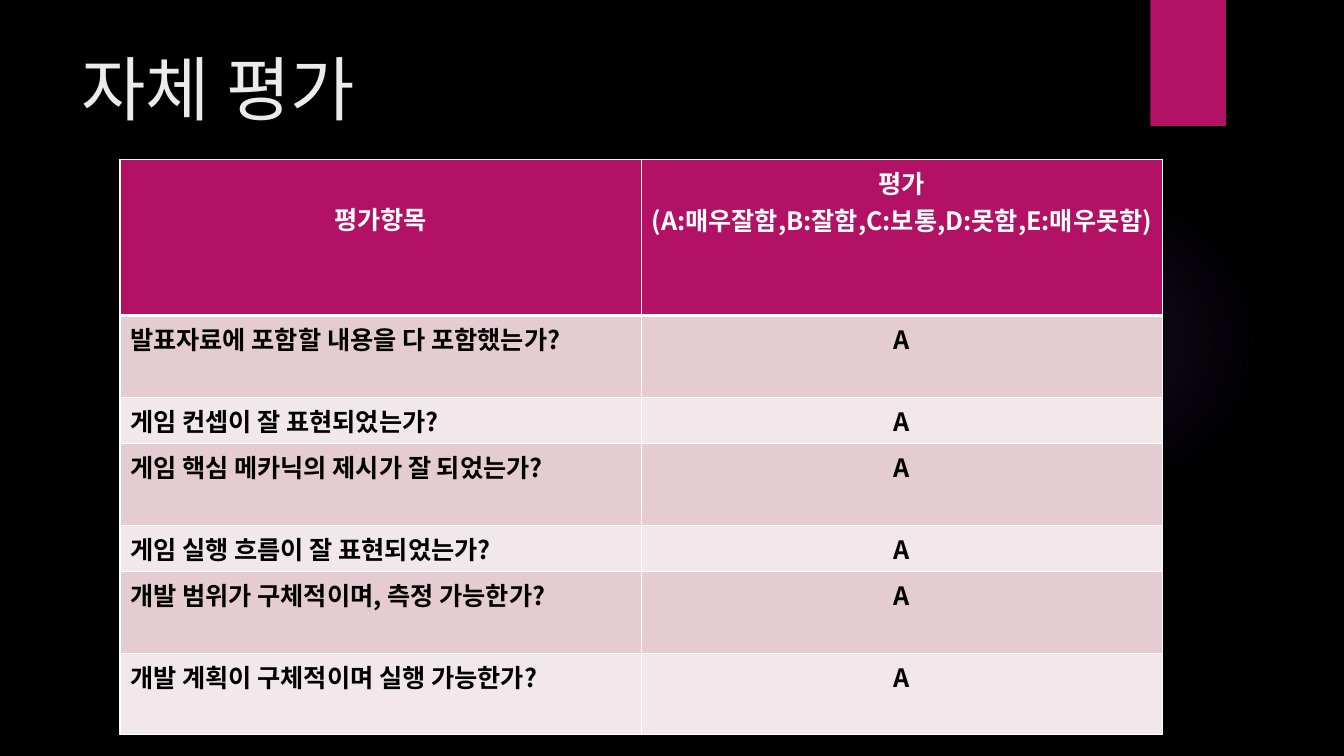
from typing import NamedTuple

from lxml.etree import SubElement
from pptx import Presentation
from pptx.dml.color import RGBColor
from pptx.enum.shapes import MSO_SHAPE as Shape
from pptx.enum.text import MSO_ANCHOR as Anchor, PP_ALIGN as Align
from pptx.oxml import parse_xml
from pptx.oxml.ns import nsdecls, qn
from pptx.util import Inches, Pt

FONT = "Noto Sans CJK KR"
MAGENTA, WHITE, BLACK = "B31166", "FFFFFF", "000000"
BAND_COLORS = ("E5CCD3", "F2E7EA")
GLOW_COLOR = "9B6BF2"
GLOW_STOPS = ((0, 7), (36, 6), (69, 0))  # position and opacity, percent


class Criterion(NamedTuple):
    question: str
    grade: str
    height: float


HEADER = ("평가항목", "평가\n(A:매우잘함,B:잘함,C:보통,D:못함,E:매우못함)")
HEADER_HEIGHT = 1.55
HEADER_TOP_MARGINS = (0.41, 0.05)
CRITERIA = (
    Criterion("발표자료에 포함할 내용을 다 포함했는가?", "A", 0.81),
    Criterion("게임 컨셉이 잘 표현되었는가?", "A", 0.46),
    Criterion("게임 핵심 메카닉의 제시가 잘 되었는가?", "A", 0.81),
    Criterion("게임 실행 흐름이 잘 표현되었는가?", "A", 0.46),
    Criterion("개발 범위가 구체적이며, 측정 가능한가?", "A", 0.81),
    Criterion("개발 계획이 구체적이며 실행 가능한가?", "A", 0.81),
)


def rgb(color: str) -> RGBColor:
    return RGBColor.from_string(color)


def write_text(frame, text: str, *, size: float = 18, color: str = BLACK,
               bold: bool = False, align=Align.LEFT, spacing: float = 1.0) -> None:
    frame.word_wrap = True
    for index, line in enumerate(text.split("\n")):
        paragraph = frame.paragraphs[0] if index == 0 else frame.add_paragraph()
        paragraph.alignment = align
        paragraph.line_spacing = spacing
        run = paragraph.add_run()
        run.text = line
        run.font.name = FONT
        run.font.size = Pt(size)
        run.font.bold = bold
        run.font.color.rgb = rgb(color)
        SubElement(run.font._element, qn("a:ea"), typeface=FONT)


def add_block(slide, kind, left: float, top: float, width: float, height: float,
              color: str):
    shape = slide.shapes.add_shape(
        kind, Inches(left), Inches(top), Inches(width), Inches(height))
    shape.shadow.inherit = False
    shape.fill.solid()
    shape.fill.fore_color.rgb = rgb(color)
    shape.line.fill.background()
    return shape


def apply_glow(shape) -> None:
    stops = "".join(
        f'<a:gs pos="{position * 1000}"><a:srgbClr val="{GLOW_COLOR}">'
        f'<a:alpha val="{opacity * 1000}"/></a:srgbClr></a:gs>'
        for position, opacity in GLOW_STOPS)
    gradient = parse_xml(
        f'<a:gradFill {nsdecls("a")}><a:gsLst>{stops}</a:gsLst><a:path path="circle">'
        '<a:fillToRect l="50000" t="50000" r="50000" b="50000"/></a:path></a:gradFill>')
    properties = shape._element.spPr
    properties.replace(properties.find(qn("a:solidFill")), gradient)


def set_borders(cell, top: float, bottom: float) -> None:
    properties = cell._tc.get_or_add_tcPr()
    widths = {"lnL": 1, "lnR": 1, "lnT": top, "lnB": bottom}
    for index, (side, width) in enumerate(widths.items()):
        properties.insert(index, parse_xml(
            f'<a:{side} {nsdecls("a")} w="{Pt(width)}"><a:solidFill>'
            f'<a:srgbClr val="{WHITE}"/></a:solidFill></a:{side}>'))


def fill_cell(cell, text: str, fill: str, *, top_border: float = 1,
              bottom_border: float = 1, top_margin: float = 0.05, **text_format) -> None:
    cell.fill.solid()
    cell.fill.fore_color.rgb = rgb(fill)
    cell.margin_top = Inches(top_margin)
    cell.vertical_anchor = Anchor.TOP
    set_borders(cell, top_border, bottom_border)
    write_text(cell.text_frame, text, bold=True, **text_format)


def add_evaluation_table(slide) -> None:
    heights = [HEADER_HEIGHT] + [criterion.height for criterion in CRITERIA]
    table = slide.shapes.add_table(
        len(heights), 2, Inches(1.19), Inches(1.58),
        Inches(10.34), Inches(sum(heights))).table
    for row, height in zip(table.rows, heights):
        row.height = Inches(height)

    for column, (text, margin) in enumerate(zip(HEADER, HEADER_TOP_MARGINS)):
        fill_cell(table.cell(0, column), text, MAGENTA, bottom_border=3,
                  top_margin=margin, color=WHITE, align=Align.CENTER)

    for row, criterion in enumerate(CRITERIA, start=1):
        band = BAND_COLORS[(row - 1) % 2]
        top_border = 3 if row == 1 else 1
        fill_cell(table.cell(row, 0), criterion.question, band, top_border=top_border)
        fill_cell(table.cell(row, 1), criterion.grade, band, top_border=top_border,
                  align=Align.CENTER)


def main() -> None:
    presentation = Presentation()
    presentation.slide_width, presentation.slide_height = Inches(13.33), Inches(7.5)
    slide = presentation.slides.add_slide(presentation.slide_layouts[6])

    # Background, glow and corner ribbon
    slide.background.fill.solid()
    slide.background.fill.fore_color.rgb = rgb(BLACK)
    apply_glow(add_block(slide, Shape.OVAL, 9.41, 1.83, 3.08, 3.08, GLOW_COLOR))
    add_block(slide, Shape.RECTANGLE, 11.41, 0, 0.75, 1.25, MAGENTA)

    # Title
    title = slide.shapes.add_textbox(
        Inches(0.71), Inches(0.5), Inches(10.29), Inches(1.53))
    write_text(title.text_frame, "자체 평가", size=50, color="EBEBEB", spacing=0.9)

    # Evaluation table
    add_evaluation_table(slide)

    presentation.save("out.pptx")


if __name__ == "__main__":
    main()
